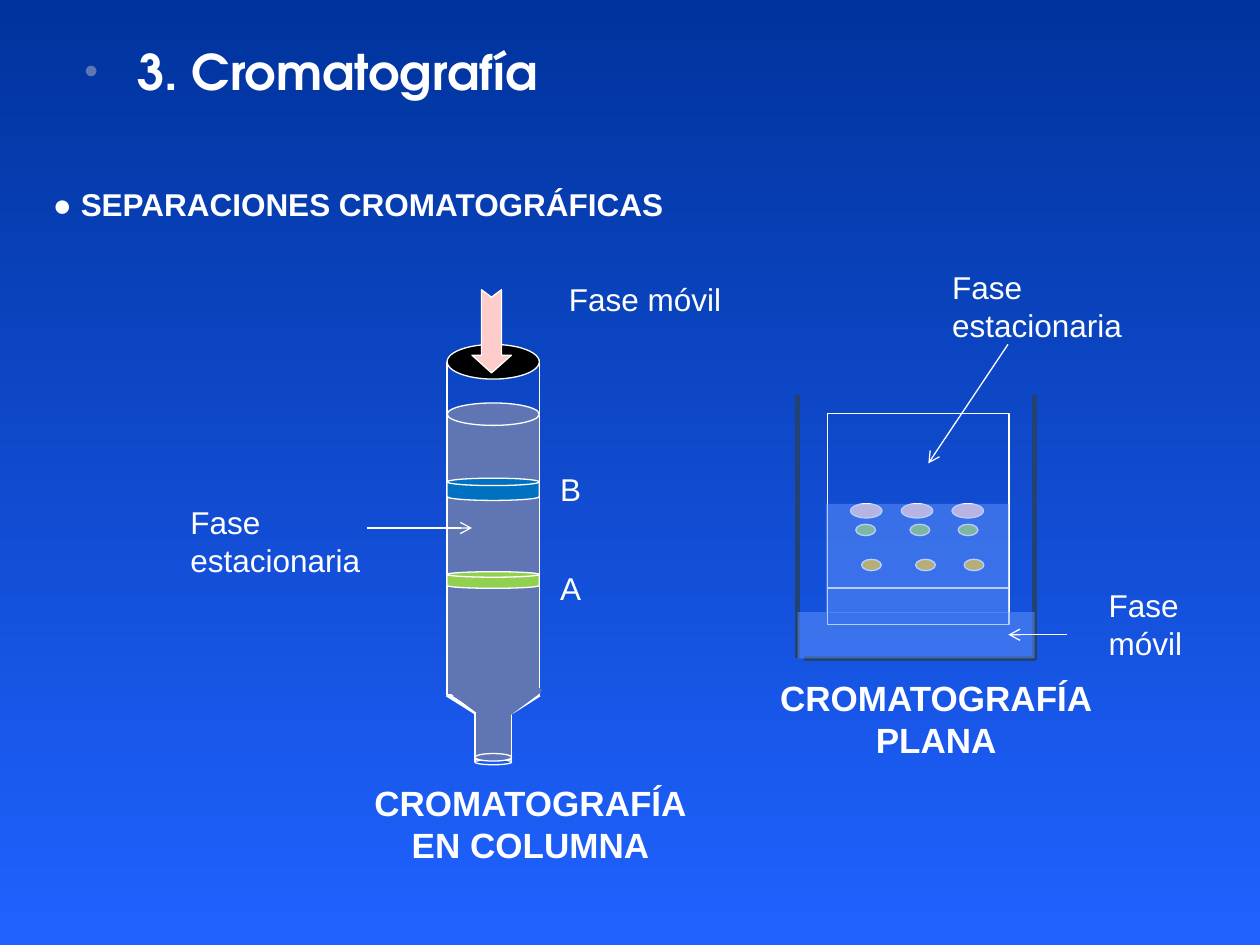
import pptx
import pptx.dml.color
import pptx.enum.dml
import pptx.enum.shapes
import pptx.enum.text
import pptx.util
from lxml import etree
from pptx.oxml.ns import qn

Pt = pptx.util.Pt
SHAPE = pptx.enum.shapes.MSO_SHAPE
COLORS = {
    "top": "00339D", "bottom": "1F62FF", "white": "FFFFFF", "black": "000000",
    "packing": "6076B4", "green": "92D050", "blue": "0070C0", "pink": "FFCCCC",
    "amber": "FFC000", "tank": "234271", "liquid": "6699FF",
}


def color(name):
    return pptx.dml.color.RGBColor.from_string(COLORS[name])


class Canvas:
    font = "Arial"
    ink = "white"
    thin = 0.75

    def __init__(self, slide):
        self.slide = slide

    def background(self, first, last):
        fill = self.slide.background.fill
        fill.gradient()
        fill.gradient_angle = 270
        for stop, name, position in zip(fill.gradient_stops, (first, last), (0, 1)):
            stop.color.rgb = color(name)
            stop.position = position

    def paint(self, shape, fill, line, weight):
        shape.shadow.inherit = False
        if fill:
            shape.fill.solid()
            shape.fill.fore_color.rgb = color(fill)
        else:
            shape.fill.background()
        if line:
            shape.line.color.rgb = color(line)
            shape.line.width = Pt(weight)
        else:
            shape.line.fill.background()

    def shape(self, kind, left, top, width, height, fill=None, line="white",
              weight=thin, alpha=None, rotation=0, flips=()):
        shape = self.slide.shapes.add_shape(kind, Pt(left), Pt(top), Pt(width), Pt(height))
        self.paint(shape, fill, line, weight)
        shape.rotation = rotation
        for flip in flips:
            shape._element.spPr.xfrm.set(flip, "1")
        if alpha:
            fill_color = shape._element.spPr.find(qn("a:solidFill"))[0]
            etree.SubElement(fill_color, qn("a:alpha"), val=str(alpha * 1000))

    def outline(self, points, fill):
        start, *rest = [(Pt(x), Pt(y)) for x, y in points]
        builder = self.slide.shapes.build_freeform(*start)
        builder.add_line_segments(rest, close=True)
        self.paint(builder.convert_to_shape(), fill, self.ink, self.thin)

    def line(self, x1, y1, x2, y2, name="white", weight=thin, arrow=False):
        connector = self.slide.shapes.add_connector(
            pptx.enum.shapes.MSO_CONNECTOR.STRAIGHT, Pt(x1), Pt(y1), Pt(x2), Pt(y2))
        connector.line.color.rgb = color(name)
        connector.line.width = Pt(weight)
        properties = connector._element.spPr
        if arrow:
            etree.SubElement(properties.find(qn("a:ln")), qn("a:tailEnd"), type="arrow")
        etree.SubElement(properties, qn("a:effectLst"))

    def text(self, left, top, width, height, lines, size=18, bold=None, font=None,
             centered=False, wrap=False, bullet=False):
        box = self.slide.shapes.add_textbox(Pt(left), Pt(top), Pt(width), Pt(height))
        frame = box.text_frame
        frame.word_wrap = wrap
        if not wrap:
            frame.auto_size = pptx.enum.text.MSO_AUTO_SIZE.SHAPE_TO_FIT_TEXT
        for index, runs in enumerate(lines):
            paragraph = frame.add_paragraph() if index else frame.paragraphs[0]
            if bullet:
                self.bullet(paragraph)
            if centered:
                paragraph.alignment = pptx.enum.text.PP_ALIGN.CENTER
            paragraph.font.name = font or self.font
            paragraph.font.size = Pt(size)
            paragraph.font.bold = bold
            paragraph.font.color.rgb = color(self.ink)
            for content, run_bold in [(runs, None)] if isinstance(runs, str) else runs:
                run = paragraph.add_run()
                run.text = content
                if run_bold is not None:
                    run.font.bold = run_bold

    def bullet(self, paragraph):
        properties = paragraph._p.get_or_add_pPr()
        properties.set("marL", str(Pt(35.3)))
        properties.set("indent", str(Pt(-30.2)))
        tint = etree.SubElement(properties, qn("a:buClr"))
        etree.SubElement(tint, qn("a:srgbClr"), val=COLORS["packing"])
        etree.SubElement(properties, qn("a:buSzPct"), val="80000")
        etree.SubElement(properties, qn("a:buFont"), typeface=self.font)
        etree.SubElement(properties, qn("a:buChar"), char="•")


def draw_column(canvas):
    left, right, neck_left, neck_right = 255.5, 308.2, 271.4, 292.4
    width, neck = right - left, neck_right - neck_left
    canvas.shape(SHAPE.FLOWCHART_CONNECTOR, left, 196.8, width, 19.8, "black")
    sides = ((left, neck_left), (right, neck_right))
    for outer, inner in sides:
        canvas.line(outer, 206.6, outer, 397)
    for outer, inner in sides:
        canvas.line(outer, 397, inner, 407, weight=2.25)
    for outer, inner in sides:
        canvas.line(inner, 407, inner, 435.6)
    canvas.shape(SHAPE.FLOWCHART_CONNECTOR, neck_left, 434, neck, 3)
    canvas.shape(SHAPE.RECTANGLE, left, 236.7, width, 160.5, "packing")
    canvas.shape(SHAPE.OVAL, left, 230.3, width, 12.8, "packing")
    canvas.shape(SHAPE.RECTANGLE, neck_left, 407, neck, 26.8, "packing")
    for x, rotation, flips in ((261.4, 90, ("flipV",)), (283.7, 270, ("flipH", "flipV"))):
        canvas.shape(SHAPE.RIGHT_TRIANGLE, x, 391, 20.9, 28, "packing", "packing", 3,
                     rotation=rotation, flips=flips)
    canvas.shape(SHAPE.OVAL, neck_left, 430.6, neck, 4.3, "packing")
    canvas.outline([(286.6, 165.6), (286.6, 203), (292.3, 203), (280.9, 213.1), (269.7, 203),
                    (275.2, 203), (275.2, 165.6), (280.9, 169.9)], "pink")
    for top, height, fill in ((326.7, 9.5, "green"), (273.3, 12.7, "blue")):
        canvas.shape(SHAPE.FLOWCHART_MAGNETIC_DISK, left, top, width, height, fill)
    canvas.text(318, 156.5, 101.5, 28.8, ["Fase móvil"])
    canvas.line(209.7, 301.7, 269.7, 301.7, arrow=True)
    canvas.text(101.7, 283.9, 111.6, 50.4, ["Fase", "estacionaria"])
    for letter, top in (("B", 264.8), ("A", 321.4)):
        canvas.text(313, top, 26, 28.8, [letter])
    canvas.text(206, 442.8, 194.4, 55.4, ["CROMATOGRAFÍA", "EN COLUMNA"], 20, True,
                centered=True)


def draw_plate(canvas):
    left, right, base = 455.8, 591.2, 376.2
    for x1, y1, x2, y2 in ((left, 226, left, base), (right, 226, right, 377),
                           (459.5, base, right, base)):
        canvas.line(x1, y1, x2, y2, "tank", 3)
    canvas.shape(SHAPE.RECTANGLE, 472.8, 236.2, 103.8, 120.7)
    canvas.line(472.8, 336, 576.6, 336)
    canvas.shape(SHAPE.RECTANGLE, left, 349.8, right - left, 26.5, "liquid", None, alpha=47)
    for fill, top, width, height, lefts in (
            ("amber", 319.6, 11.3, 6.5, (492.3, 523.2, 550.9)),
            ("green", 299.6, 11.3, 6.5, (489, 520, 547.5)),
            ("pink", 287.8, 18, 8.2, (486, 515, 544))):
        for x in lefts:
            canvas.shape(SHAPE.FLOWCHART_CONNECTOR, x, top, width, height, fill)
    canvas.shape(SHAPE.RECTANGLE, 472, 288, 104.4, 62.3, "liquid", None, alpha=47)
    canvas.text(437.8, 383.2, 194.4, 55.4, ["CROMATOGRAFÍA", "PLANA"], 20, True,
                centered=True)
    canvas.text(626.4, 331.2, 56.2, 50.4, ["Fase", "móvil"])
    canvas.line(609.8, 362.7, 576.2, 362.7, arrow=True)
    canvas.text(537, 149.5, 111.6, 50.4, ["Fase", "estacionaria"])
    canvas.line(576, 196.8, 530.5, 264.8, arrow=True)


def main():
    presentation = pptx.Presentation()
    presentation.slide_width, presentation.slide_height = Pt(720), Pt(540)
    canvas = Canvas(presentation.slides.add_slide(presentation.slide_layouts[6]))
    canvas.background("top", "bottom")
    canvas.text(36, 20.2, 648, 413.3, ["3. Cromatografía"], 28, True, "TeX Gyre Adventor",
                wrap=True, bullet=True)
    canvas.text(23.2, 102.2, 366.5, 28.8,
                [[("● ", None), ("SEPARACIONES CROMATOGRÁFICAS", True)]])
    draw_column(canvas)
    draw_plate(canvas)
    presentation.save("out.pptx")


if __name__ == "__main__":
    main()
